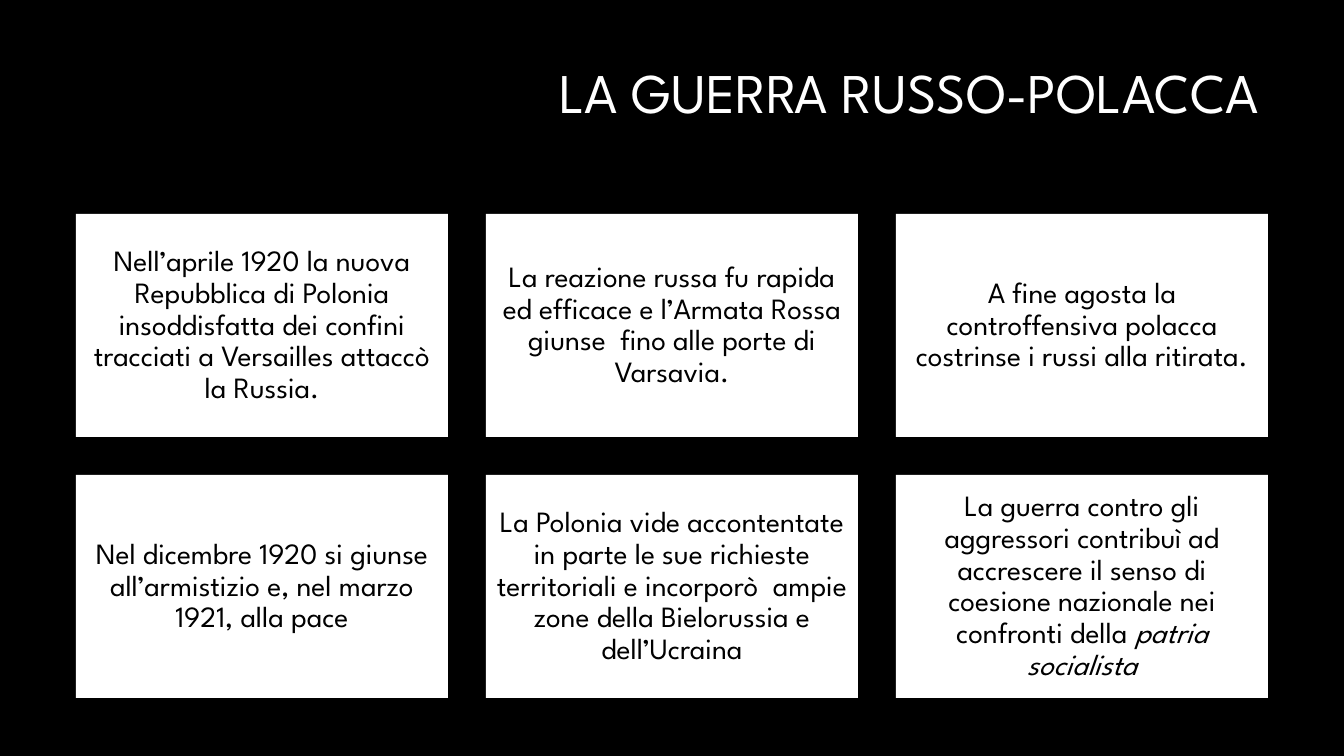
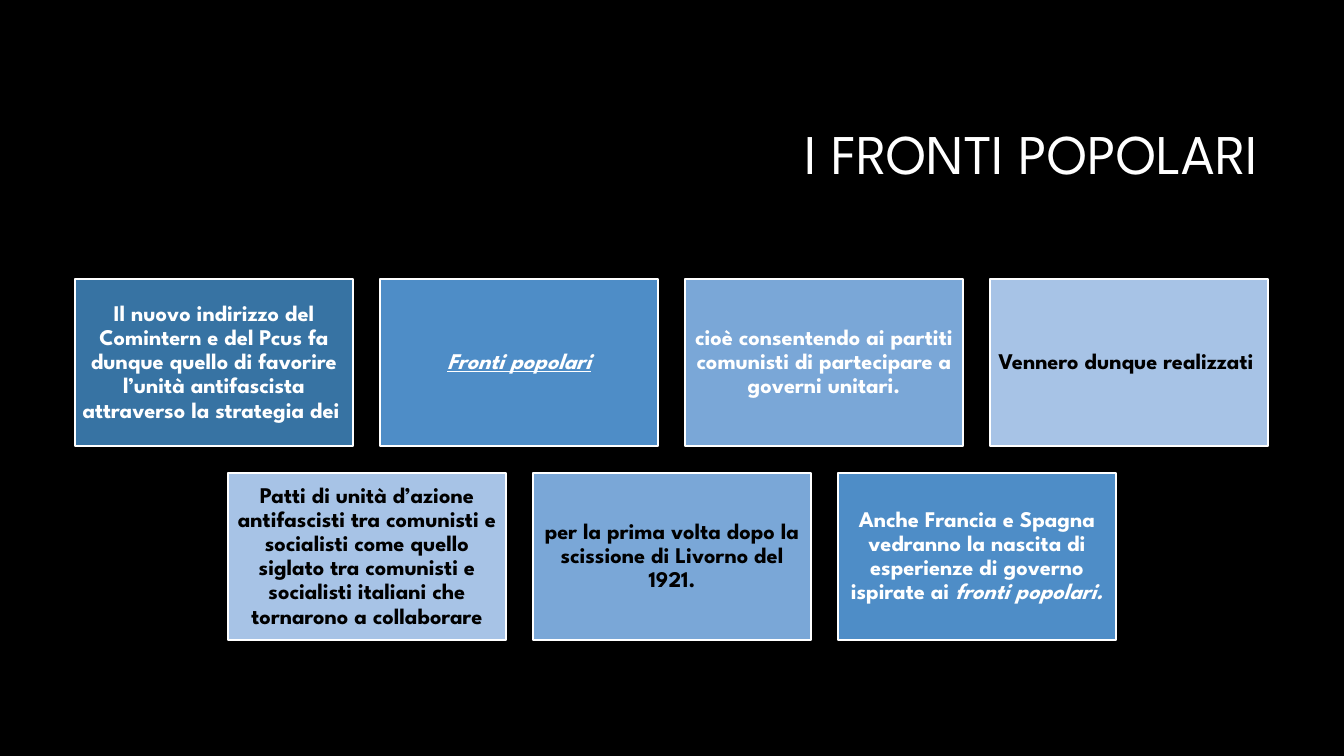
import pptx
import pptx.dml.color
import pptx.enum.shapes
import pptx.enum.text
import pptx.util

SLIDE_W, SLIDE_H = 1344, 756
SCALE = 12192000 / SLIDE_W
FONT = "League Spartan"
BLACK, WHITE = "000000", "FFFFFF"
BLUE_1, BLUE_2, BLUE_3, BLUE_4 = "3773A3", "4E8DC7", "7AA7D7", "A7C3E6"
LEFT, CONTENT_W = 76, 1192
TITLE_LEFT, TITLE_W = 320, 949

WAR_ROWS = [
    [
        [("Nell’aprile 1920 la nuova Repubblica di Polonia insoddisfatta dei confini "
          "tracciati a Versailles attaccò la Russia.", "")],
        [("La reazione russa fu rapida ed efficace e l’Armata Rossa giunse  fino alle "
          "porte di Varsavia.", "")],
        [("A fine agosta la controffensiva polacca costrinse i russi alla ritirata.", "")],
    ],
    [
        [("Nel dicembre 1920 si giunse all’armistizio e, nel marzo 1921, alla pace", "")],
        [("La Polonia vide accontentate in parte le sue richieste territoriali e "
          "incorporò  ampie zone della Bielorussia e dell’Ucraina", "")],
        [("La guerra contro gli aggressori contribuì ad accrescere il senso di coesione "
          "nazionale nei confronti della ", ""), ("patria socialista", "i")],
    ],
]

FRONT_ROWS = [
    [
        (BLUE_1, WHITE, [("Il nuovo indirizzo del Comintern e del Pcus fa dunque quello di "
                          "favorire l’unità antifascista attraverso la strategia dei ", "")]),
        (BLUE_2, WHITE, [("Fronti popolari", "iu")]),
        (BLUE_3, WHITE, [("cioè consentendo ai partiti comunisti di partecipare a governi "
                          "unitari.", "")]),
        (BLUE_4, BLACK, [("Vennero dunque realizzati ", "")]),
    ],
    [
        (BLUE_4, BLACK, [("Patti di unità d’azione antifascisti tra comunisti e socialisti "
                          "come quello siglato tra comunisti e socialisti italiani che "
                          "tornarono a collaborare", "")]),
        (BLUE_3, BLACK, [("per la prima volta dopo la scissione di Livorno del 1921.", "")]),
        (BLUE_2, WHITE, [("Anche Francia e Spagna vedranno la nascita di esperienze di "
                          "governo ispirate ai ", ""), ("fronti popolari.", "i")]),
    ],
]


def px(n):
    """Turn pixels into EMU."""
    return pptx.util.Emu(round(n * SCALE))


def rgb(color):
    """Turn a hex string into a colour."""
    return pptx.dml.color.RGBColor.from_string(color)


def style_paragraph(p, size, color, align, bold=False):
    """Give a paragraph the deck's font and spacing."""
    p.alignment = align
    p.line_spacing = 0.9
    p.font.name = FONT
    p.font.size = pptx.util.Pt(size)
    p.font.bold = bold
    p.font.color.rgb = rgb(color)


def add_titled_slide(prs, title, top, height):
    """Add a slide with a right-aligned title."""
    s = prs.slides.add_slide(prs.slide_layouts.get_by_name("Title Only"))
    sp = s.shapes.title
    sp.left, sp.top, sp.width, sp.height = map(px, (TITLE_LEFT, top, TITLE_W, height))
    tf = sp.text_frame
    tf.text = title
    tf.word_wrap = True
    tf.auto_size = pptx.enum.text.MSO_AUTO_SIZE.NONE
    tf.vertical_anchor = pptx.enum.text.MSO_ANCHOR.MIDDLE
    style_paragraph(tf.paragraphs[0], 40, WHITE, pptx.enum.text.PP_ALIGN.RIGHT)
    return s


def add_card(s, box, card, size, inset, bold, outline):
    """Draw one filled card with centred text."""
    fill, color, runs = card
    sp = s.shapes.add_shape(pptx.enum.shapes.MSO_SHAPE.RECTANGLE, *map(px, box))
    sp.shadow.inherit = False
    sp.fill.solid()
    sp.fill.fore_color.rgb = rgb(fill)
    if outline:
        sp.line.color.rgb = rgb(outline)
        sp.line.width = pptx.util.Pt(1.5)
    else:
        sp.line.fill.background()
    tf = sp.text_frame
    tf.word_wrap = True
    tf.vertical_anchor = pptx.enum.text.MSO_ANCHOR.MIDDLE
    tf.margin_left = tf.margin_right = tf.margin_top = tf.margin_bottom = px(inset)
    p = tf.paragraphs[0]
    style_paragraph(p, size, color, pptx.enum.text.PP_ALIGN.CENTER, bold)
    for text, marks in runs:
        r = p.add_run()
        r.text = text
        if "i" in marks:
            r.font.italic = True
        if "u" in marks:
            r.font.underline = True


def add_card_grid(s, box, rows, gap, size, inset, bold=False, outline=None):
    """Fill a box with rows of equal cards, each row centred."""
    left, top, width, height = box
    columns = max(map(len, rows))
    card_w = round((width - gap * (columns - 1)) / columns)
    card_h = (height - gap * (len(rows) - 1)) // len(rows)
    for i, row in enumerate(rows):
        row_w = len(row) * (card_w + gap) - gap
        x = left + (width - row_w) // 2
        y = top + i * (card_h + gap)
        for j, card in enumerate(row):
            card_box = (x + j * (card_w + gap), y, card_w, card_h)
            add_card(s, card_box, card, size, inset, bold, outline)


def build_war_slide(prs):
    """Build the slide on the Russo-Polish war."""
    s = add_titled_slide(prs, "LA GUERRA RUSSO-POLACCA", 33, 125)
    rows = [[(WHITE, BLACK, runs) for runs in row] for row in WAR_ROWS]
    add_card_grid(s, (LEFT, 214, CONTENT_W, 484), rows, gap=38, size=21, inset=9)


def build_fronts_slide(prs):
    """Build the slide on the popular fronts."""
    s = add_titled_slide(prs, "I FRONTI POPOLARI", 85, 142)
    add_card_grid(s, (LEFT, 279, CONTENT_W, 361), FRONT_ROWS, gap=27, size=16, inset=7,
                  bold=True, outline=WHITE)


def main():
    """Build and save the presentation."""
    prs = pptx.Presentation()
    prs.slide_width, prs.slide_height = px(SLIDE_W), px(SLIDE_H)
    background = prs.slide_master.background.fill
    background.solid()
    background.fore_color.rgb = rgb(BLACK)
    build_war_slide(prs)
    build_fronts_slide(prs)
    prs.save("out.pptx")


if __name__ == "__main__":
    main()
